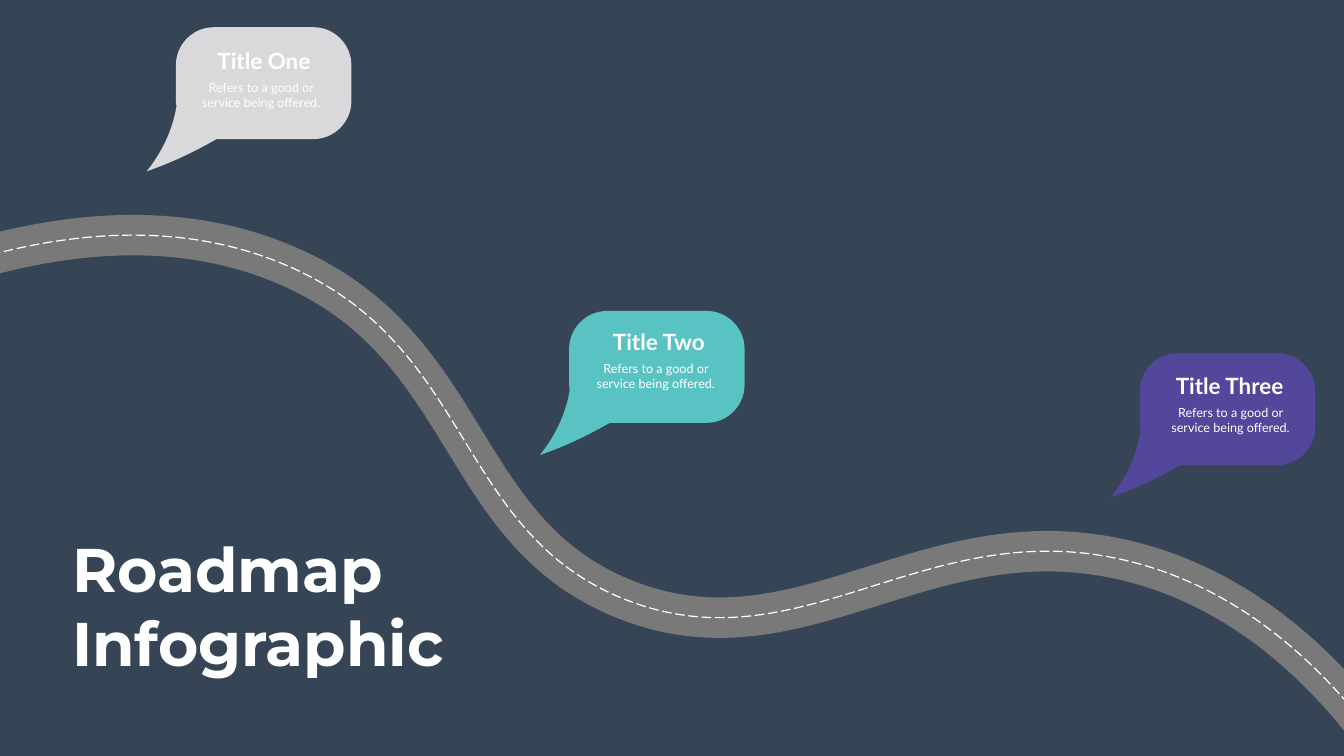
from lxml import etree
from pptx import Presentation
from pptx.dml.color import RGBColor
from pptx.enum.dml import MSO_LINE
from pptx.enum.text import MSO_AUTO_SIZE, PP_ALIGN
from pptx.oxml.ns import qn
from pptx.util import Pt

LONG_DASH = MSO_LINE.LONG_DASH
LEFT, CENTER = PP_ALIGN.LEFT, PP_ALIGN.CENTER
FIT_SHAPE = MSO_AUTO_SIZE.SHAPE_TO_FIT_TEXT

PX = 9144  # EMU per px, 100 px to the inch
WHITE = "FFFFFF"

# Outlines: a start point, then line ends (one point) or cubic curves (three points)
ROAD = [
    [(-69, 520)],
    [(90, 472), (334, 426), (567, 526)],
    [(941, 685), (901, 1054), (1239, 1189)],
    [(1597, 1332), (1847, 1001), (2264, 1120)],
    [(2549, 1201), (2729, 1442), (2835, 1627)],
]
BUBBLE = [
    [(331, 0)],
    [(133, 0)],
    [(92, 0), (58, 34), (58, 75)],
    [(58, 147)],
    [(58, 150), (59, 154), (59, 157)],
    [(58, 165), (56, 173), (54, 181)],
    [(42, 226), (20, 261), (0, 286)],
    [(34, 274), (73, 258), (115, 235)],
    [(123, 231), (131, 226), (139, 222)],
    [(331, 222)],
    [(372, 222), (406, 188), (406, 147)],
    [(406, 75)],
    [(406, 34), (372, 0), (331, 0)],
]

BODY = "Refers to a good or service being offered."
# Title, colour, bubble corner, title left and width, body corner
MILESTONES = [
    ("Title One", "D9D8DA", (291, 54), (420, 207), (385, 153)),
    ("Title Two", "58C3C2", (1071, 617), (1202, 210), (1168, 711)),
    ("Title Three", "52479B", (2203, 701), (2320, 238), (2308, 799)),
]


def color(value):
    return RGBColor.from_string(value)


def bend_lines(shape, segments):
    """Join each run of three lines that stands for a curve into one cubic curve."""
    lines = iter(list(shape.element.iter(qn("a:lnTo"))))
    for segment in segments:
        parts = [next(lines) for _ in segment]
        if len(parts) == 3:
            curve = etree.Element(qn("a:cubicBezTo"))
            parts[0].addprevious(curve)
            for part in parts:
                curve.append(part[0])
                part.getparent().remove(part)


def add_outline(page, outline, corner=(0, 0), close=False):
    points = [(corner[0] + x, corner[1] + y) for segment in outline for x, y in segment]
    builder = page.shapes.build_freeform(*points[0], scale=PX)
    builder.add_line_segments(points[1:], close=close)
    shape = builder.convert_to_shape()
    bend_lines(shape, outline[1:])
    shape.shadow.inherit = False
    return shape


def add_road_line(page, line_color, width, dash=None):
    road = add_outline(page, ROAD)
    road.fill.background()
    road.line.color.rgb = color(line_color)
    road.line.width = Pt(width)
    if dash is not None:
        road.line.dash_style = dash


def add_bubble(page, corner, fill):
    bubble = add_outline(page, BUBBLE, corner, close=True)
    bubble.fill.solid()
    bubble.fill.fore_color.rgb = color(fill)
    bubble.line.fill.background()


def add_text(page, bounds, lines, font, size, bold=False, align=CENTER, wrap=False):
    box = page.shapes.add_textbox(*(value * PX for value in bounds))
    frame = box.text_frame
    frame.word_wrap = wrap
    frame.auto_size = FIT_SHAPE
    frame.text = "\n".join(lines)
    for para in frame.paragraphs:
        para.alignment = align
        para.font.name = font
        para.font.size = Pt(size)
        para.font.bold = bold
        para.font.color.rgb = color(WHITE)


def main():
    deck = Presentation()
    deck.slide_width, deck.slide_height = 2666 * PX, 1500 * PX
    page = deck.slides.add_slide(deck.slide_layouts[6])
    page.background.fill.solid()
    page.background.fill.fore_color.rgb = color("364556")

    # Road with its dashed centre line
    add_road_line(page, "797979", 57.77)
    add_road_line(page, WHITE, 1.73, LONG_DASH)

    # Milestone bubbles
    for title, fill, corner, (title_left, title_width), (left, top) in MILESTONES:
        add_bubble(page, corner, fill)
        add_text(page, (title_left, top - 65, title_width, 64), [title], "Lato", 32, bold=True)
        add_text(page, (left, top, 266, 71), [BODY], "Lato", 18, wrap=True)

    # Slide title
    add_text(page, (133, 1048, 758, 306), ["Roadmap", "Infographic"],
             "Montserrat", 88, bold=True, align=LEFT)

    deck.save("out.pptx")


if __name__ == "__main__":
    main()
